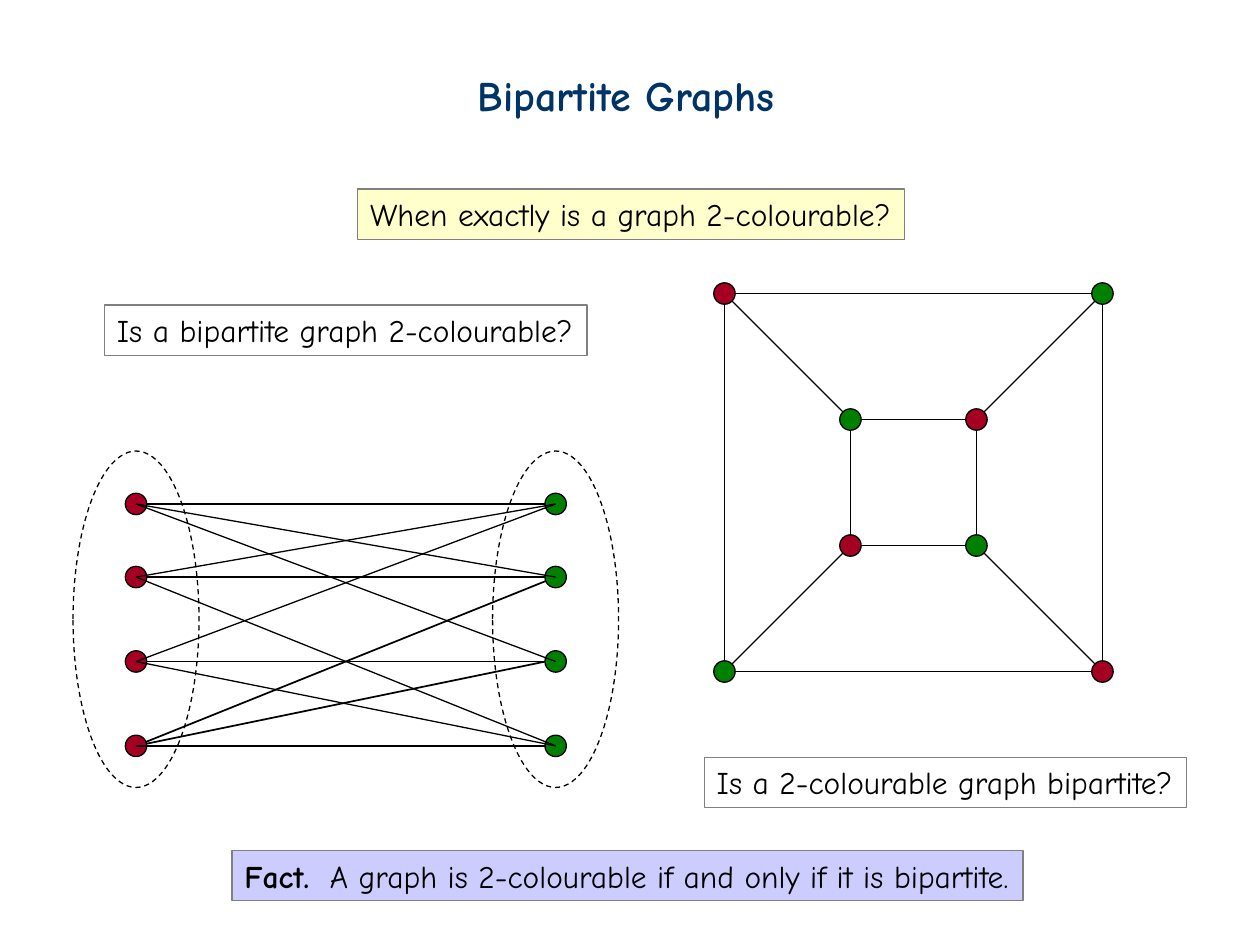
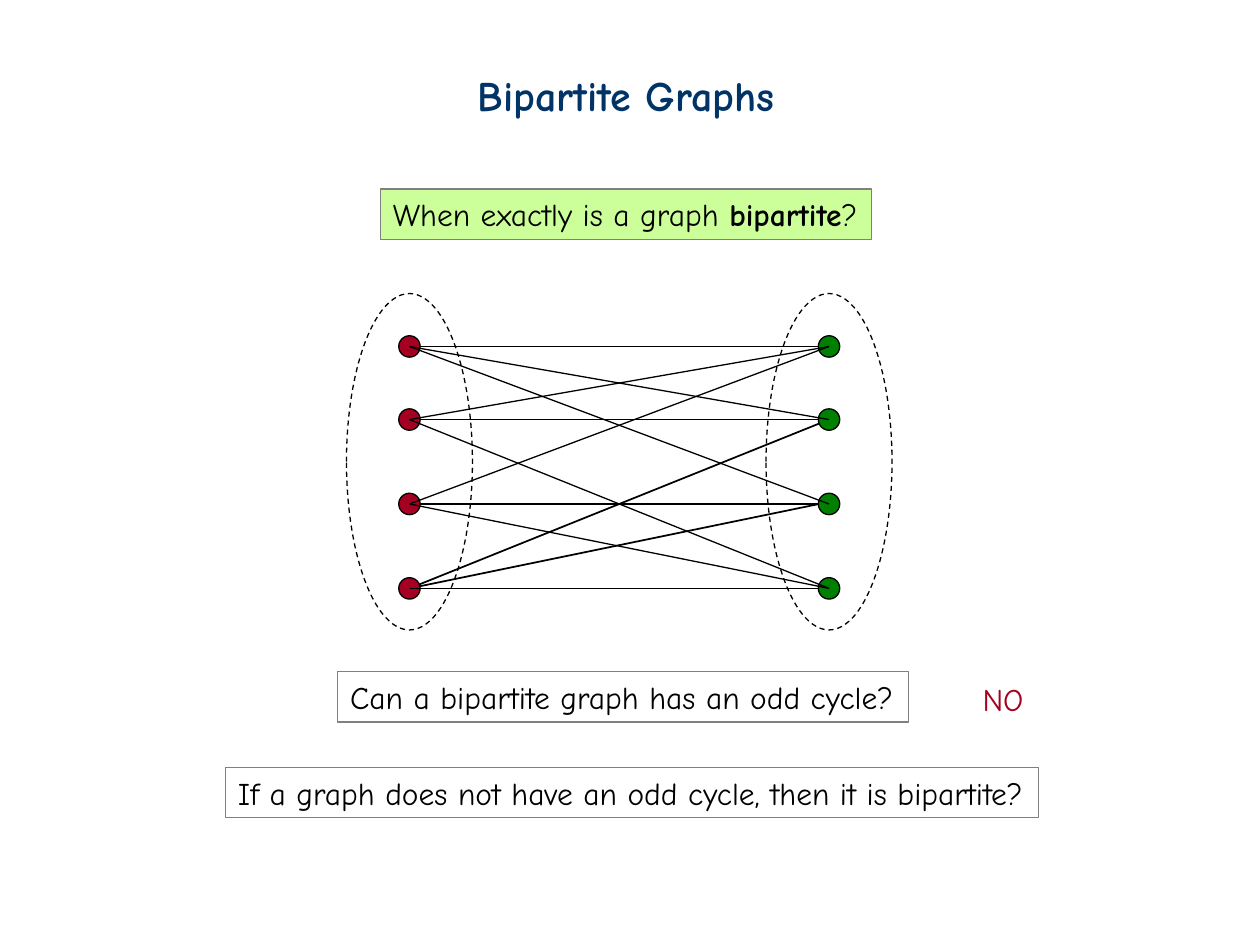
from lxml import etree
from pptx import Presentation
from pptx.dml.color import RGBColor
from pptx.enum.dml import MSO_LINE
from pptx.enum.shapes import MSO_CONNECTOR, MSO_SHAPE
from pptx.enum.text import MSO_ANCHOR, MSO_AUTO_SIZE, PP_ALIGN
from pptx.oxml.ns import qn
from pptx.util import Inches, Pt

RECT, OVAL = MSO_SHAPE.RECTANGLE, MSO_SHAPE.OVAL
STRAIGHT, DASH = MSO_CONNECTOR.STRAIGHT, MSO_LINE.DASH
TOP, LEFT = MSO_ANCHOR.TOP, PP_ALIGN.LEFT
GROW = MSO_AUTO_SIZE.SHAPE_TO_FIT_TEXT

FONT = "Comic Neue"
BLACK = RGBColor(0x00, 0x00, 0x00)
GREY = RGBColor(0x80, 0x80, 0x80)
NAVY = RGBColor(0x00, 0x33, 0x66)
RED = RGBColor(0xA5, 0x00, 0x21)
GREEN = RGBColor(0x00, 0x80, 0x00)
YELLOW = RGBColor(0xFF, 0xFF, 0xCC)
LIME = RGBColor(0xCC, 0xFF, 0x99)
LILAC = RGBColor(0xCC, 0xCC, 0xFF)

DOT = 0.17
OVAL_W, OVAL_H = 1, 2.67
PART_GAP = 3.33  # between the centres of the two parts
NODE_DY = (0.42, 1, 1.67, 2.34)  # below the top of the ovals

# Edges: left node, right node, shift of the right end
BOLD_EDGES = [(0, 0, 0.09), (1, 1, 0), (3, 1, 0), (2, 2, -0.08), (3, 2, -0.08)]
THIN_EDGES = [(0, 1, 0), (0, 2, 0), (1, 0, 0), (1, 3, 0),
              (2, 0, 0), (2, 3, 0), (3, 3, -0.08)]


def add_text(s, runs, x, y, w, h=0.4, size=18, color=BLACK, fill=None, boxed=True, tab=None):
    """Add text given as (text, bold) runs, in a grey-edged box if boxed."""
    box = tuple(map(Inches, (x, y, w, h)))
    if boxed:
        sp = s.shapes.add_shape(RECT, *box)
        sp.shadow.inherit = False
        sp.line.color.rgb = GREY
        sp.line.width = Pt(0.75)
        if fill is None:
            sp.fill.background()
        else:
            sp.fill.solid()
            sp.fill.fore_color.rgb = fill
    else:
        sp = s.shapes.add_textbox(*box)
    tf = sp.text_frame
    tf.word_wrap = False
    tf.auto_size = GROW
    tf.vertical_anchor = TOP
    p = tf.paragraphs[0]
    p.alignment = LEFT
    if tab:
        tabs = etree.SubElement(p._p.get_or_add_pPr(), qn("a:tabLst"))
        etree.SubElement(tabs, qn("a:tab"), pos=str(Inches(tab)), algn="l")
    for text, bold in runs:
        r = p.add_run()
        r.text = text
        r.font.name = FONT
        r.font.size = Pt(size)
        r.font.bold = bold
        r.font.color.rgb = color


def add_edge(s, start, end, width=0.75):
    ln = s.shapes.add_connector(STRAIGHT, *map(Inches, (*start, *end)))
    ln.line.color.rgb = BLACK
    ln.line.width = Pt(width)
    etree.SubElement(ln._element.spPr, qn("a:effectLst"))


prs = Presentation()
prs.slide_width, prs.slide_height = Inches(10), Inches(7.5)

# Each slide: corner of the bipartite graph, whether the cube shows, texts
deck = [
    (0.58, 3.58, True, [
        dict(runs=[("When exactly is a graph 2-colourable?", False)],
             x=2.84, y=1.5, w=4.34, fill=YELLOW),
        dict(runs=[("Is a bipartite graph 2-colourable?", False)], x=0.83, y=2.42, w=3.83),
        dict(runs=[("Is a 2-colourable graph bipartite?", False)], x=5.59, y=6.01, w=3.83),
        dict(runs=[("Fact.", True),
                   ("\tA graph is 2-colourable if and only if it is bipartite.", False)],
             x=1.84, y=6.75, w=6.28, fill=LILAC, tab=0.68),
    ]),
    (2.75, 2.33, False, [
        dict(runs=[("When exactly is a graph ", False), ("bipartite", True), ("?", False)],
             x=3.02, y=1.5, w=3.9, fill=LIME),
        dict(runs=[("Can a bipartite graph has an odd cycle?", False)], x=2.68, y=5.33, w=4.53),
        dict(runs=[("If a graph does not have an odd cycle, then it is bipartite?", False)],
             x=1.79, y=6.09, w=6.45),
        dict(runs=[("NO", False)], x=7.7, y=5.35, w=0.6, color=RED, boxed=False),
    ]),
]

for graph_x, graph_y, has_cube, texts in deck:
    s = prs.slides.add_slide(prs.slide_layouts[6])
    add_text(s, [("Bipartite Graphs", True)], 3.69, 0.5, 2.58, h=0.5,
             size=24, color=NAVY, boxed=False)

    left_x = graph_x + OVAL_W / 2
    right_x = left_x + PART_GAP
    node_y = [graph_y + dy for dy in NODE_DY]
    for a, b, shift in BOLD_EDGES:
        add_edge(s, (left_x, node_y[a]), (right_x + shift, node_y[b]), width=1)

    # Ovals: centre x, centre y, width, height, fill
    ovals = [(x, y, DOT, DOT, c) for x, c in ((left_x, RED), (right_x, GREEN)) for y in node_y]
    ovals += [(x, graph_y + OVAL_H / 2, OVAL_W, OVAL_H, None) for x in (left_x, right_x)]

    if has_cube:
        rings = [[(x, y), (x + side, y), (x + side, y + side), (x, y + side)]
                 for x, y, side in ((5.75, 2.33, 3), (6.75, 3.33, 1))]
        for i in range(4):
            for ring in rings:
                add_edge(s, ring[i], ring[(i + 1) % 4])
            add_edge(s, rings[0][i], rings[1][i])
        ovals += [(x, y, DOT, DOT, (RED, GREEN)[(i + k) % 2])
                  for k, ring in enumerate(rings) for i, (x, y) in enumerate(ring)]

    for x, y, w, h, fill in ovals:
        sp = s.shapes.add_shape(OVAL, *map(Inches, (x - w / 2, y - h / 2, w, h)))
        sp.shadow.inherit = False
        sp.line.color.rgb = BLACK
        sp.line.width = Pt(0.75)
        if fill is None:
            sp.fill.background()
            sp.line.dash_style = DASH
        else:
            sp.fill.solid()
            sp.fill.fore_color.rgb = fill

    for a, b, shift in THIN_EDGES:
        add_edge(s, (left_x, node_y[a]), (right_x + shift, node_y[b]))
    for text in texts:
        add_text(s, **text)

prs.save("out.pptx")
